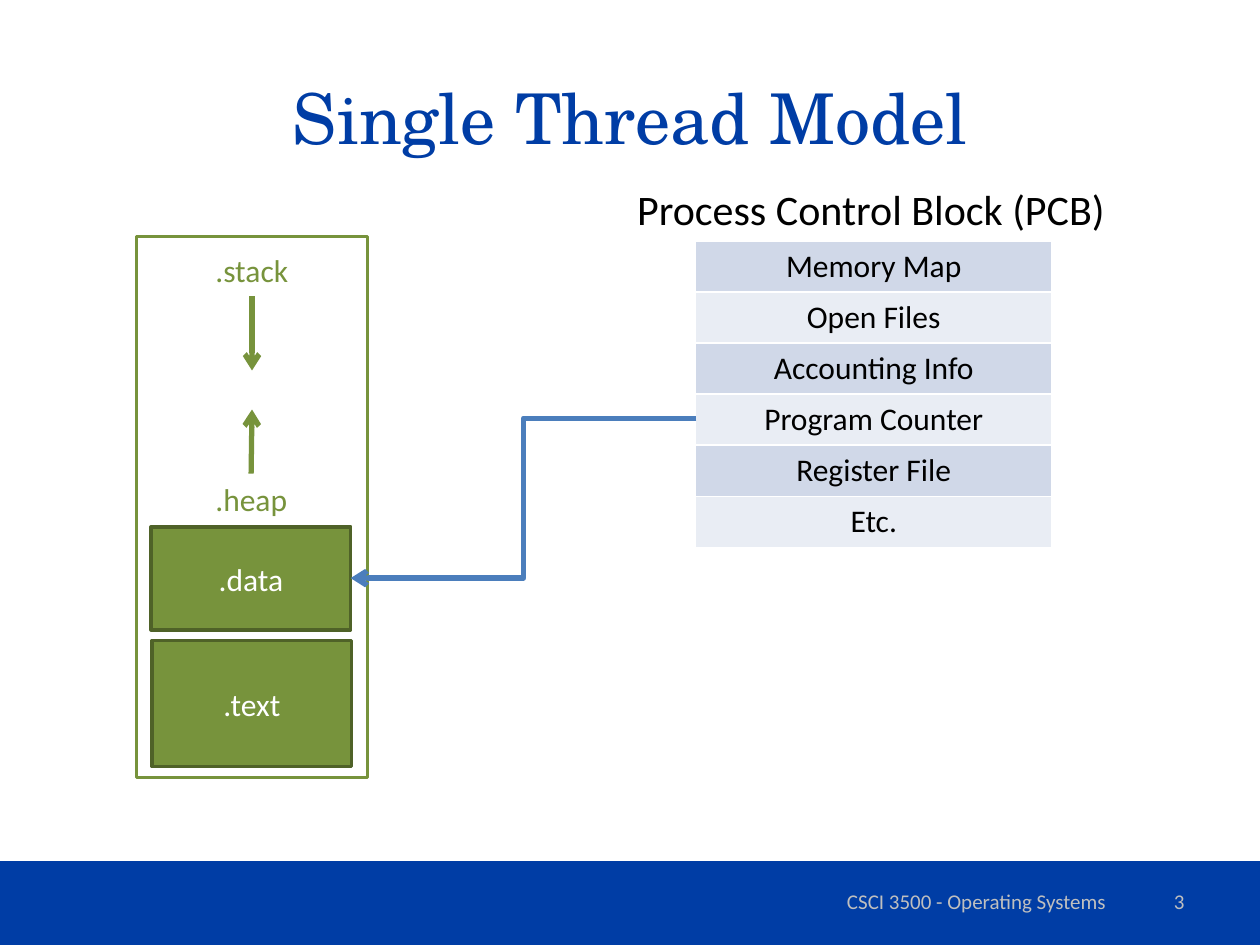
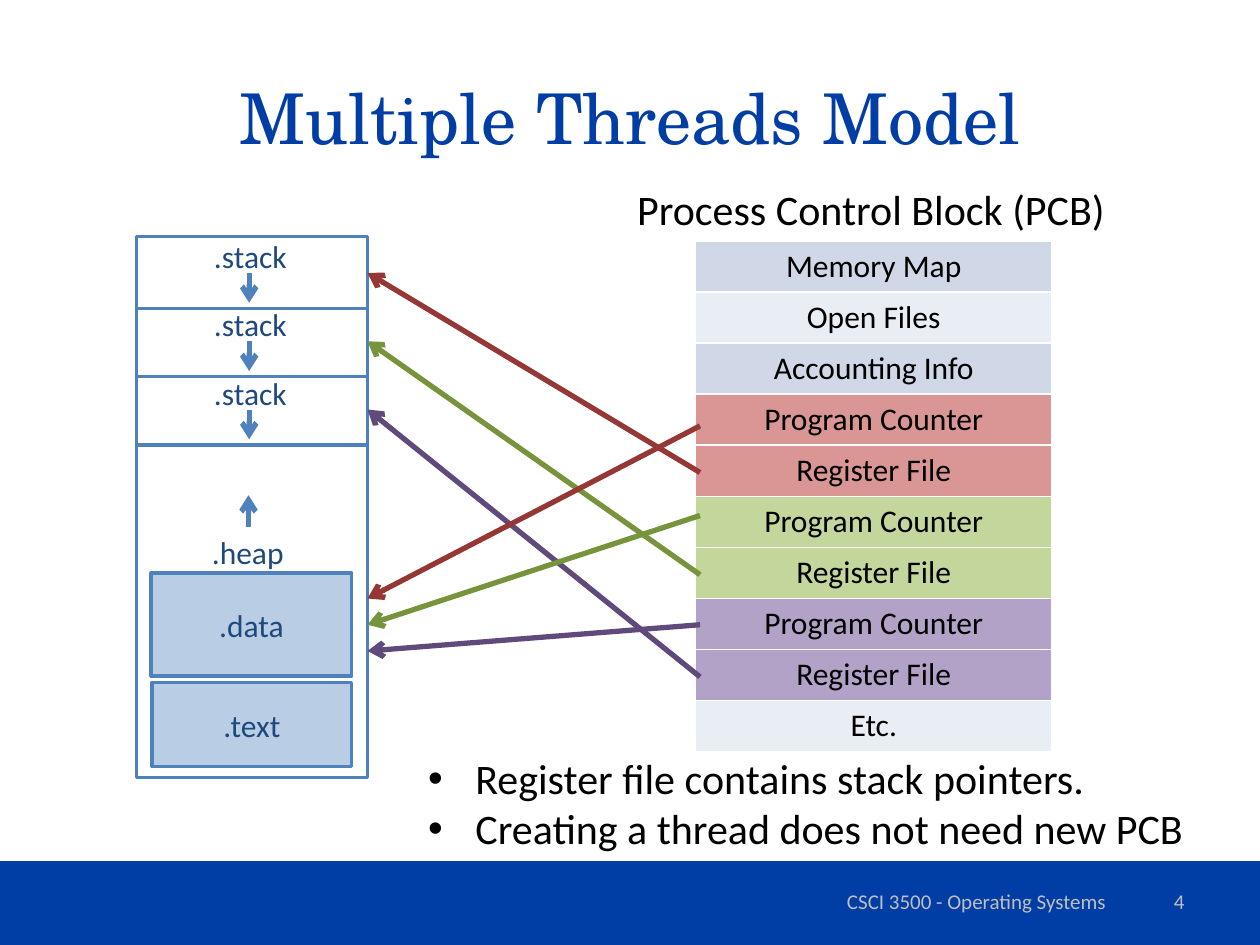
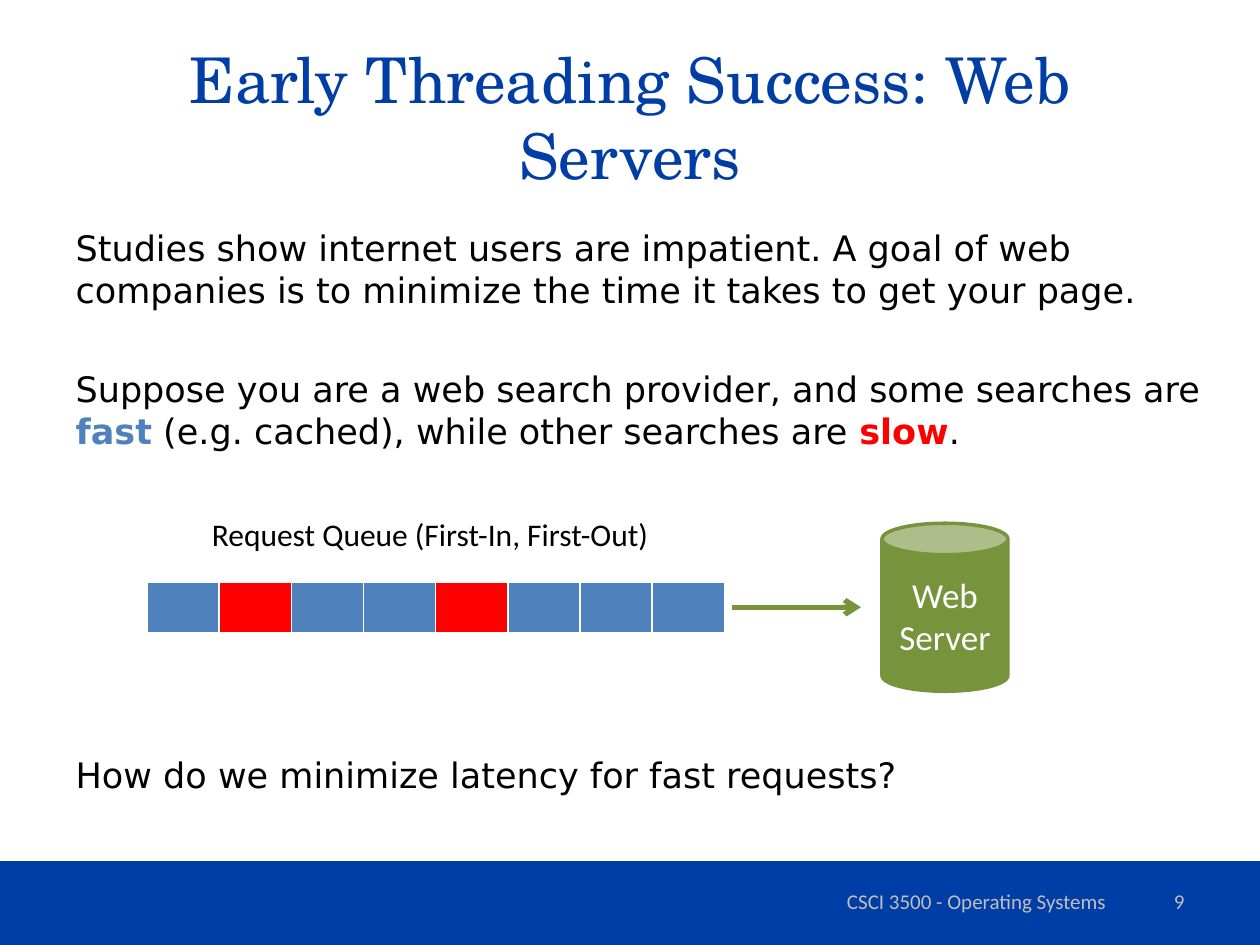
import pptx
import pptx.dml.color
import pptx.enum.shapes
import pptx.enum.text
import pptx.oxml.ns
import pptx.util
from lxml import etree

BLUE = "003DA5"
GREEN = "77933C"
SKY = "4F81BD"
NAVY = "1F497D"
RED = "FF0000"
CENTER = pptx.enum.text.PP_ALIGN.CENTER
RIGHT = pptx.enum.text.PP_ALIGN.RIGHT
MIDDLE = pptx.enum.text.MSO_ANCHOR.MIDDLE
RECTANGLE = pptx.enum.shapes.MSO_SHAPE.RECTANGLE
STRAIGHT = pptx.enum.shapes.MSO_CONNECTOR.STRAIGHT
ELBOW = pptx.enum.shapes.MSO_CONNECTOR.ELBOW
FIT = {"word_wrap": False, "auto_size": pptx.enum.text.MSO_AUTO_SIZE.SHAPE_TO_FIT_TEXT}
rgb = pptx.dml.color.RGBColor.from_string


def write(frame, text, size, colour, align=None, face="Calibri", **frame_format):
    for name, value in frame_format.items():
        setattr(frame, name, value)
    frame.text = text
    font_format = {"name": face, "size": pptx.util.Pt(size), "bold": False}
    for paragraph in frame.paragraphs:
        paragraph.alignment = align
        for run in paragraph.runs:
            run.font.color.rgb = rgb(colour)
            for name, value in font_format.items():
                setattr(run.font, name, value)


def draw_line(slide, begin, end, colour, width=3, arrow=True, kind=STRAIGHT):
    line = slide.shapes.add_connector(kind, *map(pptx.util.Pt, (*begin, *end)))
    line.line.width = pptx.util.Pt(width)
    line.line.color.rgb = rgb(colour)
    properties = line.element.spPr
    if arrow:
        outline = properties.find(pptx.oxml.ns.qn("a:ln"))
        etree.SubElement(outline, pptx.oxml.ns.qn("a:tailEnd"), type="arrow")
    etree.SubElement(properties, pptx.oxml.ns.qn("a:effectLst"))


prs = pptx.Presentation()
prs.slide_width = pptx.util.Pt(720)
prs.slide_height = pptx.util.Pt(540)

slides = []
for heading, size, number, layout in (
    ("Single Thread Model", 40, "3", 5),
    ("Multiple Threads Model", 40, "4", 5),
    ("Early Threading Success: Web Servers", 36, "9", 1),
):
    slide = prs.slides.add_slide(prs.slide_layouts[layout])
    slides.append(slide)
    title = slide.shapes.title
    title.left, title.top, title.width, title.height = map(pptx.util.Pt, (36, 21.6, 648, 90))
    write(title.text_frame, heading, size, BLUE, CENTER, "TeX Gyre Schola", vertical_anchor=MIDDLE)
    for text, left, width, align in (
        ("CSCI 3500 - Operating Systems", 444, 228, CENTER),
        (number, 516, 168, RIGHT),
    ):
        footer = slide.shapes.add_textbox(*map(pptx.util.Pt, (left, 500.4, width, 28.8)))
        write(footer.text_frame, text, 12, "BFBFBF", align, word_wrap=True, vertical_anchor=MIDDLE)
single, multiple, servers = slides

band = single.shapes.add_shape(RECTANGLE, *map(pptx.util.Pt, (0, 492, 720, 48)))
band.shadow.inherit = False
band.fill.solid()
band.fill.fore_color.rgb = rgb(BLUE)
band.line.fill.background()
prs.slide_master.shapes.element.insert(2, band.element)

stack_pitch = 39
stack_tops = [132 + stack_pitch * i for i in range(3)]
stack_starts = [156 + stack_pitch * i for i in range(3)]
row_height = 29.2
CAN = pptx.enum.shapes.MSO_SHAPE.CAN

for slide, preset, text, box, fill, edge, ink, size in (
    (single, RECTANGLE, "", (78, 135.2, 132, 309), None, GREEN, GREEN, 18),
    (single, RECTANGLE, ".text", (87, 366, 114, 72), GREEN, "4F6228", "FFFFFF", 18),
    (single, RECTANGLE, ".data", (86.4, 301, 114, 59), GREEN, "4F6228", "FFFFFF", 18),
    (multiple, RECTANGLE, "", (78, 135.2, 132, 309), None, SKY, NAVY, 18),
    (multiple, RECTANGLE, ".text", (87, 390, 114, 48), "B9CDE5", SKY, NAVY, 18),
    (multiple, RECTANGLE, ".data", (86.4, 327.4, 114.6, 59), "B9CDE5", SKY, NAVY, 18),
    (servers, CAN, "Web\vServer", (504, 299, 72, 96), GREEN, GREEN, "FFFFFF", 20),
):
    block = slide.shapes.add_shape(preset, *map(pptx.util.Pt, box))
    block.shadow.inherit = False
    if fill:
        block.fill.solid()
        block.fill.fore_color.rgb = rgb(fill)
    else:
        block.fill.background()
    block.line.color.rgb = rgb(edge)
    block.line.width = pptx.util.Pt(2)
    write(block.text_frame, text, size, ink, CENTER, vertical_anchor=MIDDLE)

PLAIN = ["D0D8E8", "E9EDF4"]
THREADS = [("953735", "D99694"), (GREEN, "C3D69B"), ("604A7B", "B3A2C7")]
state = ["Program Counter", "Register File"]
shared = ["Memory Map", "Open Files", "Accounting Info"]
thread_fills = [tint for _, tint in THREADS for _ in state]
for slide, entries, fills in (
    (single, shared + state + ["Etc."], PLAIN * 3),
    (multiple, shared + state * 3 + ["Etc."], PLAIN + PLAIN[:1] + thread_fills + PLAIN[1:]),
):
    area = (397.4, 137.6, 203.8, row_height * len(entries))
    pcb = slide.shapes.add_table(len(entries), 1, *map(pptx.util.Pt, area)).table
    pcb.first_row = False
    pcb.horz_banding = False
    for cell, entry, fill in zip(pcb.iter_cells(), entries, fills):
        cell.fill.solid()
        cell.fill.fore_color.rgb = rgb(fill)
        write(cell.text_frame, entry, 18, "000000", CENTER)

queue = servers.shapes.add_table(1, 8, *map(pptx.util.Pt, (84, 332.6, 330, row_height))).table
queue.horz_banding = False
for position, cell in enumerate(queue.iter_cells()):
    cell.fill.solid()
    cell.fill.fore_color.rgb = rgb(RED if position in (1, 4) else SKY)

labels = [
    (single, ".heap", (116, 270.7, 56, 29), 18, GREEN),
    (single, ".stack", (116, 139.8, 56, 29), 18, GREEN),
    (multiple, ".heap", (114, 301, 56, 29), 18, NAVY),
    (servers, "Request Queue (First-In, First-Out)", (114, 291, 268, 29), 18, "000000"),
]
labels += [(multiple, ".stack", (115.2, top, 56, 29), 18, NAVY) for top in stack_tops]
labels += [
    (slide, "Process Control Block (PCB)", (357, 101.6, 284, 36), 24, "000000")
    for slide in (single, multiple)
]
for slide, text, box, size, colour in labels:
    label = slide.shapes.add_textbox(*map(pptx.util.Pt, box))
    write(label.text_frame, text, size, colour, **FIT)

draw_line(single, (143.5, 270.7), (144, 234), GREEN)
draw_line(single, (144, 169.2), (144, 211.7), GREEN)
draw_line(single, (398, 239), (200.4, 330.4), "4B7EBC", kind=ELBOW)
draw_line(multiple, (142, 301), (142, 283), SKY)
draw_line(servers, (418.4, 347), (492, 347), GREEN)

for start in stack_starts:
    draw_line(multiple, (142.4, start), (142.4, start + 17), SKY)
    draw_line(multiple, (78, start + 20.2), (210, start + 20.2), SKY, 2, arrow=False)
for i, (colour, _) in enumerate(THREADS):
    draw_line(multiple, (400, 270 + 2 * row_height * i), (210, stack_starts[i]), colour)
for i, counter in enumerate((243.4, 294.6, 357)):
    draw_line(multiple, (400, counter), (210, 342 + 15 * i), THREADS[i][0])

remarks = multiple.shapes.add_textbox(*map(pptx.util.Pt, (237.6, 426.4, 450, 65.4)))
remark_lines = "Register file contains stack pointers.\nCreating a thread does not need new PCB"
write(remarks.text_frame, remark_lines, 24, "000000", **FIT)
for paragraph in remarks.text_frame.paragraphs:
    properties = paragraph._p.get_or_add_pPr()
    properties.set("marL", str(pptx.util.Pt(27)))
    properties.set("indent", str(pptx.util.Pt(-27)))
    etree.SubElement(properties, pptx.oxml.ns.qn("a:buFont"), typeface="Arial")
    etree.SubElement(properties, pptx.oxml.ns.qn("a:buChar"), char="•")

body = servers.placeholders[1]
body.left, body.top, body.width, body.height = map(pptx.util.Pt, (36, 126, 660, 356.4))
story = body.text_frame
write(
    story,
    "Studies show internet users are impatient. "
    "A goal of web companies is to minimize the time it takes to get your page.\n"
    "Suppose you are a web search provider, and some searches are \n"
    "How do we minimize latency for fast requests?",
    20, "000000", face="DejaVu Sans", auto_size=pptx.enum.text.MSO_AUTO_SIZE.NONE,
)
for paragraph, gap in zip(story.paragraphs, (0, 32.6, 172.3)):
    paragraph.space_before = pptx.util.Pt(gap)
    properties = paragraph._p.get_or_add_pPr()
    properties.set("marL", "0")
    properties.set("indent", "0")
    etree.SubElement(properties, pptx.oxml.ns.qn("a:buNone"))
for text, colour, bold in (
    ("fast", SKY, True),
    (" (e.g. cached), while other searches are ", "000000", False),
    ("slow", RED, True),
    (".", "000000", False),
):
    run = story.paragraphs[1].add_run()
    run.text = text
    run.font.color.rgb = rgb(colour)
    for name, value in {"name": "DejaVu Sans", "size": pptx.util.Pt(20), "bold": bold}.items():
        setattr(run.font, name, value)

prs.save("out.pptx")
